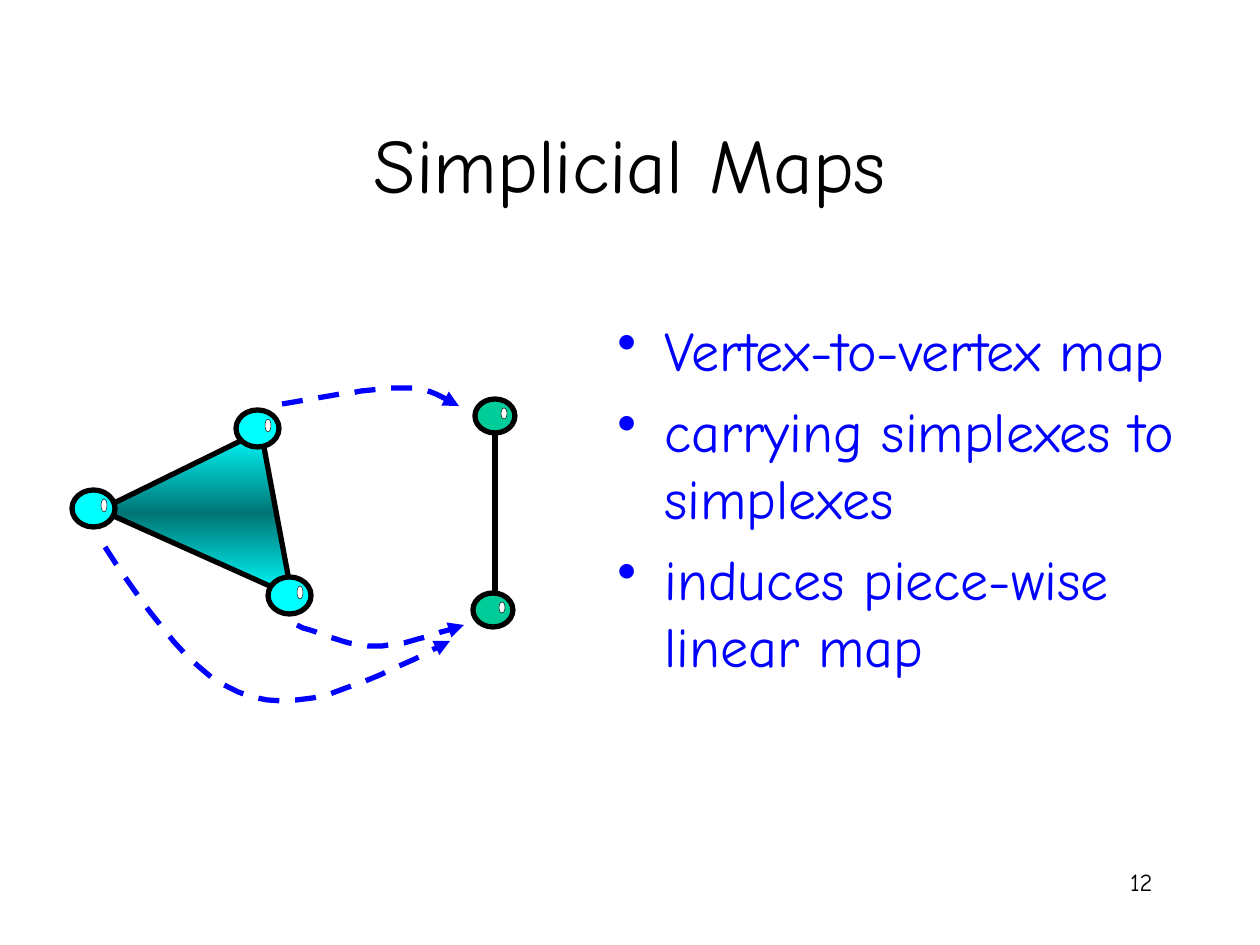
from copy import deepcopy

from lxml import etree
from pptx import Presentation
from pptx.dml.color import RGBColor
from pptx.enum.dml import MSO_LINE
from pptx.enum.shapes import MSO_CONNECTOR, MSO_SHAPE
from pptx.enum.text import MSO_ANCHOR, PP_ALIGN
from pptx.oxml.ns import qn
from pptx.util import Pt

PX = 914400 / 126
OVAL = MSO_SHAPE.OVAL
STRAIGHT = MSO_CONNECTOR.STRAIGHT
DASH = MSO_LINE.DASH
LEFT, CENTER, RIGHT = PP_ALIGN.LEFT, PP_ALIGN.CENTER, PP_ALIGN.RIGHT
TOP, MIDDLE = MSO_ANCHOR.TOP, MSO_ANCHOR.MIDDLE
BLACK, WHITE, BLUE = "000000", "FFFFFF", "0000FF"
CYAN, TEAL, GREEN = "00FFFF", "007575", "00CC99"
STEPS = 12


def emu(*lengths):
    return [round(length * PX) for length in lengths]


def rgb(color):
    return RGBColor.from_string(color)


prs = Presentation()
prs.slide_width, prs.slide_height = emu(1260, 945)
shapes = prs.slides.add_slide(prs.slide_layouts[6]).shapes

# Title, bullet points and page number
texts = [
    (["Simplicial Maps"], (94, 84, 1072, 158), 44, BLACK, CENTER, MIDDLE),
    (["Vertex-to-vertex map", "carrying simplexes to simplexes",
      "induces piece-wise linear map"], (605, 309, 620, 480), 32, BLUE, LEFT, TOP),
    (["12"], (903, 861, 262, 63), 14, BLACK, RIGHT, TOP),
]
for lines, place, size, color, align, anchor in texts:
    frame = shapes.add_textbox(*emu(*place)).text_frame
    frame.word_wrap = True
    frame.vertical_anchor = anchor
    frame.text = "\n".join(lines)
    for number, paragraph in enumerate(frame.paragraphs):
        paragraph.alignment = align
        if len(lines) > 1:
            indent, = emu(47)
            props = paragraph._p.get_or_add_pPr()
            props.set("marL", str(indent))
            props.set("indent", str(-indent))
            etree.SubElement(props, qn("a:buChar"), char="•")
            paragraph.space_before = Pt(8 if number else 0)
        font_format = {"name": "Comic Neue", "size": Pt(size)}
        for key, value in font_format.items():
            setattr(paragraph.font, key, value)
        paragraph.font.color.rgb = rgb(color)

# Source simplex: a shaded triangle
builder = shapes.build_freeform(100, 510, scale=PX)
builder.add_line_segments([(261, 431), (292, 596)], close=True)
triangle = builder.convert_to_shape()
triangle.shadow.inherit = False
triangle.line.color.rgb = rgb(BLACK)
triangle.line.width = Pt(3)
triangle.fill.gradient()
triangle.fill.gradient_angle = 90
stop_list = triangle._element.spPr.find(qn("a:gradFill")).find(qn("a:gsLst"))
stop_list.insert(1, deepcopy(stop_list[0]))
stop_colors = [(0, CYAN), (0.5, TEAL), (1, CYAN)]
for stop, (position, color) in zip(triangle.fill.gradient_stops, stop_colors):
    stop.position = position
    stop.color.rgb = rgb(color)

# Target simplex: an edge
edge = shapes.add_connector(STRAIGHT, *emu(495, 622, 495, 421))
edge.line.color.rgb = rgb(BLACK)
edge.line.width = Pt(3)
etree.SubElement(edge._element.spPr, qn("a:effectLst"))

# Vertices, each with a small highlight
vertex_sets = [
    (CYAN, (43, 37), (29, 9, 6, 13), [(72, 490), (236, 410), (268, 577)]),
    (GREEN, (40, 34), (26, 9, 6, 11), [(475, 399), (473, 593)]),
]
for color, size, (dx, dy, *shine_size), corners in vertex_sets:
    for x, y in corners:
        ovals = [(x, y, *size, color, 3), (x + dx, y + dy, *shine_size, WHITE, 0.25)]
        for *place, fill, weight in ovals:
            oval = shapes.add_shape(OVAL, *emu(*place))
            oval.shadow.inherit = False
            oval.fill.solid()
            oval.fill.fore_color.rgb = rgb(fill)
            oval.line.color.rgb = rgb(BLACK)
            oval.line.width = Pt(weight)

# Dashed arrows from vertex to vertex, two Bezier pieces each
arrows = [
    [(282, 404), (329, 396), (377, 387), (406, 388), (435, 388), (450, 403), (459, 406)],
    [(297, 625), (323, 635), (348, 646), (375, 646), (403, 646), (433, 635), (464, 625)],
    [(105, 547), (150, 614), (194, 682), (252, 697), (310, 713), (379, 677), (450, 641)],
]
for controls in arrows:
    curve = []
    for first in (0, 3):
        piece = controls[first:first + 4]
        for step in range(1, STEPS + 1):
            t = step / STEPS
            weights = ((1 - t) ** 3, 3 * t * (1 - t) ** 2, 3 * t ** 2 * (1 - t), t ** 3)
            curve.append([sum(w * v for w, v in zip(weights, axis))
                          for axis in zip(*piece)])
    builder = shapes.build_freeform(*controls[0], scale=PX)
    builder.add_line_segments(curve, close=False)
    arrow = builder.convert_to_shape()
    arrow.shadow.inherit = False
    arrow.fill.background()
    arrow.line.color.rgb = rgb(BLUE)
    line_format = {"width": Pt(3), "dash_style": DASH}
    for key, value in line_format.items():
        setattr(arrow.line, key, value)
    outline = arrow._element.spPr.find(qn("a:ln"))
    etree.SubElement(outline, qn("a:round"))
    etree.SubElement(outline, qn("a:tailEnd"), type="triangle")

prs.save("out.pptx")
